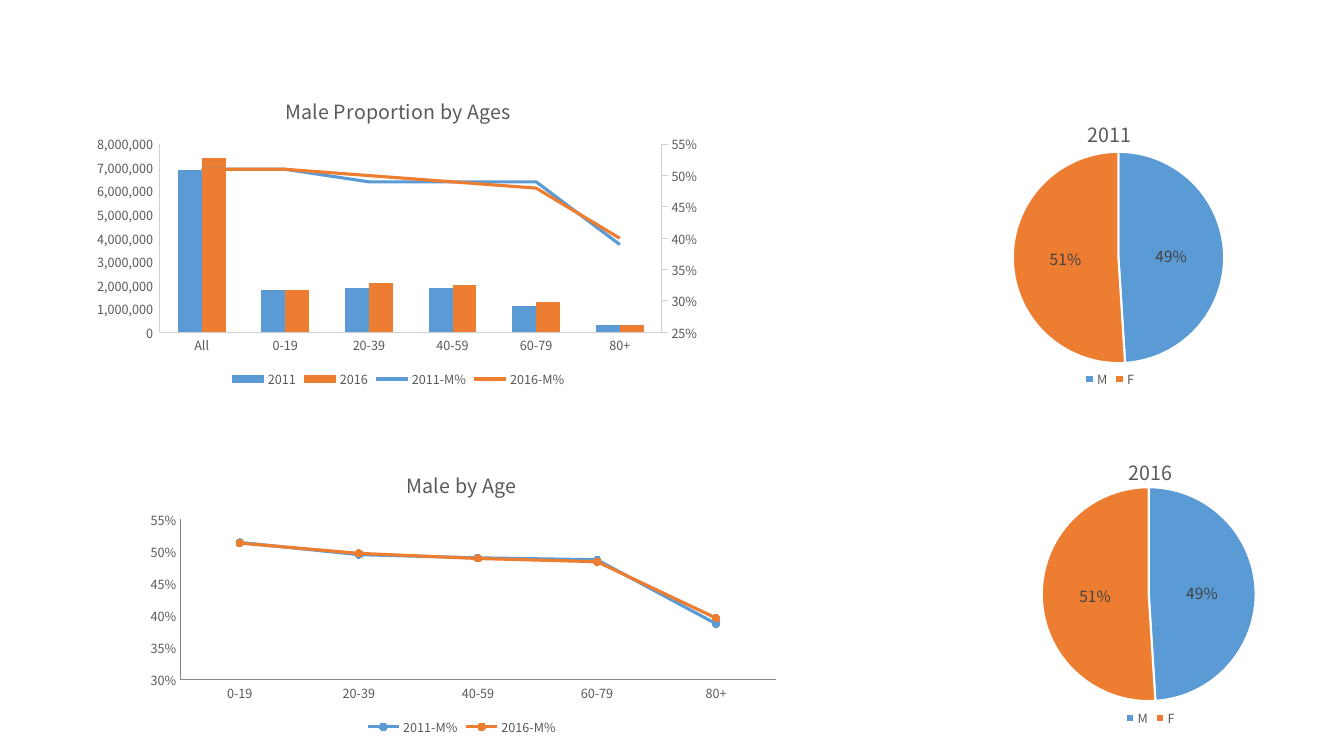
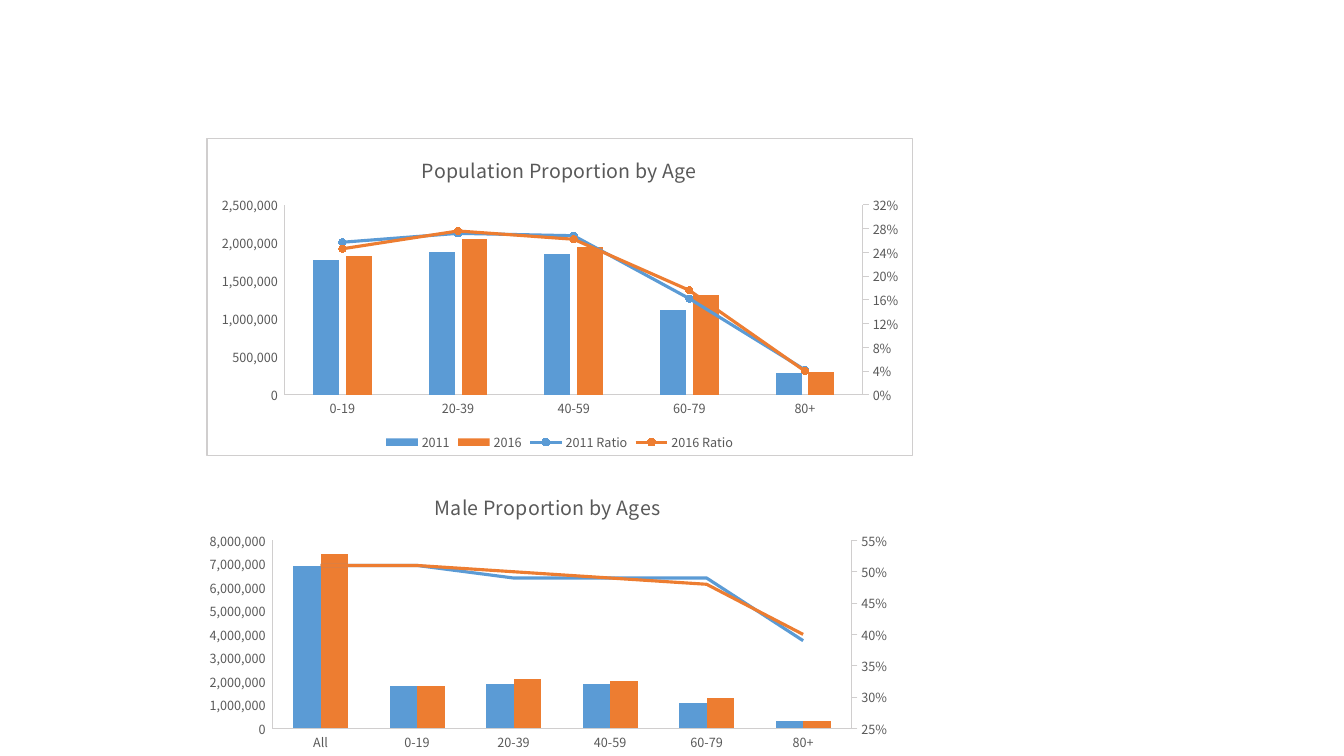
from copy import deepcopy

from lxml.etree import SubElement
from pptx import Presentation
from pptx.chart.axis import ValueAxis
from pptx.chart.data import CategoryChartData
from pptx.dml.color import RGBColor
from pptx.enum.chart import (XL_CHART_TYPE, XL_LABEL_POSITION, XL_LEGEND_POSITION,
                             XL_MARKER_STYLE, XL_TICK_MARK)
from pptx.oxml import parse_xml
from pptx.oxml.ns import nsdecls, qn
from pptx.util import Pt

FONT = "Noto Sans CJK SC"
BLUE, ORANGE, WHITE, BLACK = "5B9BD5", "ED7D31", "FFFFFF", "000000"
SERIES_COLORS = (BLUE, ORANGE)
TEXT_GREY, LABEL_GREY, LINE_GREY, AXIS_GREY = "595959", "404040", "D0CECE", "868686"
COUNT_FORMAT = r"#,##0_);[Red]\(#,##0\)"
PERCENT_FORMAT = "0%"
AGES = ("0-19", "20-39", "40-59", "60-79", "80+")

MALE_PROPORTION = {
    "title": "Male Proportion by Ages",
    "categories": ("All",) + AGES,
    "columns": {
        "2011": (6900000, 1800000, 1900000, 1900000, 1100000, 300000),
        "2016": (7400000, 1800000, 2100000, 2000000, 1300000, 300000),
    },
    "lines": {
        "2011-M%": (0.51, 0.51, 0.49, 0.49, 0.49, 0.39),
        "2016-M%": (0.51, 0.51, 0.5, 0.49, 0.48, 0.4),
    },
    "left_scale": (0, 8000000, 1000000),
    "right_scale": (0.25, 0.55, 0.05),
    "plot_format": {"gap_width": 150, "overlap": 0},
    "marked": False,
}
POPULATION_PROPORTION = {
    "title": "Population Proportion by Age",
    "categories": AGES,
    "columns": {
        "2011": (1780000, 1880000, 1850000, 1120000, 290000),
        "2016": (1830000, 2050000, 1950000, 1310000, 300000),
    },
    "lines": {
        "2011 Ratio": (0.257, 0.272, 0.268, 0.162, 0.042),
        "2016 Ratio": (0.246, 0.276, 0.262, 0.176, 0.04),
    },
    "left_scale": (0, 2500000, 500000),
    "right_scale": (0, 0.32, 0.04),
    "plot_format": {"gap_width": 219, "overlap": -27},
    "marked": True,
}
MALE_BY_AGE = {
    "2011-M%": (0.514, 0.495, 0.49, 0.487, 0.387),
    "2016-M%": (0.513, 0.497, 0.489, 0.484, 0.396),
}


def assign(target, values):
    """Set every attribute named in a dict of format values."""
    for name, value in values.items():
        setattr(target, name, value)


def paint(fill, color):
    """Give a fill one solid colour from a hex string."""
    fill.solid()
    fill.fore_color.rgb = RGBColor.from_string(color)


def style_font(font, size, color):
    """Apply the shared typeface with a size and colour."""
    assign(font, {"name": FONT, "size": Pt(size), "bold": False})
    paint(font.fill, color)


def style_line(line, color, width):
    """Give a line its colour and width."""
    paint(line.fill, color)
    line.width = Pt(width)


def place_plot(chart, layout):
    """Fix the inner plot area at fractions of the chart box."""
    plot_area = chart.element.find(".//" + qn("c:plotArea"))
    for previous in plot_area.findall(qn("c:layout")):
        plot_area.remove(previous)
    element = parse_xml(f"<c:layout {nsdecls('c')}><c:manualLayout/></c:layout>")
    entries = [("layoutTarget", "inner"), ("xMode", "edge"), ("yMode", "edge")]
    entries += zip("xywh", layout)
    for tag, value in entries:
        SubElement(element[0], qn(f"c:{tag}")).set("val", str(value))
    plot_area.insert(0, element)


def frame_chart(chart, border):
    """Clear the chart background and outline it when a border colour is given."""
    outline = "<a:noFill/>"
    if border:
        outline = f'<a:solidFill><a:srgbClr val="{border}"/></a:solidFill>'
    chart.element.find(qn("c:chart")).addnext(parse_xml(
        f"<c:spPr {nsdecls('c', 'a')}><a:noFill/>"
        f'<a:ln w="{int(Pt(0.75))}">{outline}</a:ln></c:spPr>'))


def add_chart(slide, kind, box, layout, title, categories, series, border=None):
    """Add a chart with the shared title, legend, fonts and frame."""
    data = CategoryChartData()
    data.categories = categories
    for name, values in series.items():
        number_format = COUNT_FORMAT if max(values) > 100 else PERCENT_FORMAT
        data.add_series(name, values, number_format)
    chart = slide.shapes.add_chart(kind, *map(Pt, box), data).chart
    style_font(chart.font, 10, BLACK)
    assign(chart, {"has_title": True, "has_legend": True})
    chart.chart_title.include_in_layout = False
    chart.chart_title.text_frame.text = title
    style_font(chart.chart_title.text_frame.paragraphs[0].runs[0].font, 14, TEXT_GREY)
    assign(chart.legend, {"position": XL_LEGEND_POSITION.BOTTOM,
                          "include_in_layout": False})
    style_font(chart.legend.font, 9, TEXT_GREY)
    place_plot(chart, layout)
    frame_chart(chart, border)
    return chart


def style_axis(axis, color, tick=XL_TICK_MARK.NONE):
    """Format an axis line, its ticks and its labels."""
    assign(axis, {"has_major_gridlines": False, "major_tick_mark": tick,
                  "minor_tick_mark": XL_TICK_MARK.NONE})
    style_line(axis.format.line, color, 0.75)
    style_font(axis.tick_labels.font, 9, TEXT_GREY)


def scale_axis(axis, scale, number_format):
    """Set the limits, step and number format of a value axis."""
    names = ("minimum_scale", "maximum_scale", "major_unit")
    assign(axis, dict(zip(names, scale)))
    assign(axis.tick_labels, {"number_format": number_format,
                              "number_format_is_linked": False})


def style_line_series(plot, marked):
    """Colour the lines of a plot and their markers."""
    for series, color in zip(plot.series, SERIES_COLORS):
        series.smooth = False
        style_line(series.format.line, color, 2.25)
        if marked:
            assign(series.marker, {"style": XL_MARKER_STYLE.CIRCLE, "size": 5})
            paint(series.marker.format.fill, color)
            style_line(series.marker.format.line, color, 0.75)
        else:
            series.marker.style = XL_MARKER_STYLE.NONE


def move_to_right_axis(chart, first):
    """Turn the series from an index on into lines and return their value axis."""
    columns = chart.element.find(".//" + qn("c:barChart"))
    lines = parse_xml(
        f'<c:lineChart {nsdecls("c")}><c:grouping val="standard"/>'
        '<c:varyColors val="0"/><c:marker val="1"/>'
        '<c:axId val="5001"/><c:axId val="5002"/></c:lineChart>')
    marker = lines.find(qn("c:marker"))
    for series in columns.findall(qn("c:ser"))[first:]:
        for inversion in series.findall(qn("c:invertIfNegative")):
            series.remove(inversion)
        marker.addprevious(series)
    columns.addnext(lines)
    left_axis = chart.element.find(".//" + qn("c:valAx"))
    category_axis = deepcopy(chart.element.find(".//" + qn("c:catAx")))
    value_axis = deepcopy(left_axis)
    changes = (
        (category_axis, {"axId": "5001", "crossAx": "5002", "delete": "1"}),
        (value_axis, {"axId": "5002", "crossAx": "5001", "axPos": "r",
                      "crosses": "max"}),
    )
    for axis, values in changes:
        for tag, value in values.items():
            axis.find(qn(f"c:{tag}")).set("val", value)
    left_axis.addnext(value_axis)
    value_axis.addnext(category_axis)
    return ValueAxis(value_axis)


def add_combined_chart(slide, box, layout, content, border=None):
    """Add columns on the left axis and percentage lines on the right axis."""
    chart = add_chart(slide, XL_CHART_TYPE.COLUMN_CLUSTERED, box, layout,
                      content["title"], content["categories"],
                      content["columns"] | content["lines"], border)
    style_axis(chart.category_axis, LINE_GREY)
    style_axis(chart.value_axis, LINE_GREY)
    scale_axis(chart.value_axis, content["left_scale"], COUNT_FORMAT)
    right_axis = move_to_right_axis(chart, len(content["columns"]))
    style_axis(right_axis, LINE_GREY, XL_TICK_MARK.OUTSIDE)
    scale_axis(right_axis, content["right_scale"], PERCENT_FORMAT)
    columns, lines = chart.plots
    assign(columns, content["plot_format"] | {"vary_by_categories": False})
    for series, color in zip(columns.series, SERIES_COLORS):
        paint(series.format.fill, color)
    style_line_series(lines, content["marked"])


def add_line_chart(slide, box, layout):
    """Add the marked line chart of the male share."""
    chart = add_chart(slide, XL_CHART_TYPE.LINE_MARKERS, box, layout,
                      "Male by Age", AGES, MALE_BY_AGE)
    chart.plots[0].vary_by_categories = False
    for axis in (chart.category_axis, chart.value_axis):
        style_axis(axis, AXIS_GREY)
    scale_axis(chart.value_axis, (0.3, 0.55, 0.05), PERCENT_FORMAT)
    style_line_series(chart.plots[0], True)


def add_pie_chart(slide, box, layout, year):
    """Add the male and female split of one year."""
    chart = add_chart(slide, XL_CHART_TYPE.PIE, box, layout, year,
                      ("M", "F"), {year: (49, 51)})
    plot = chart.plots[0]
    assign(plot, {"vary_by_categories": True, "has_data_labels": True})
    assign(plot.data_labels, {"show_percentage": True, "show_value": False,
                              "number_format": PERCENT_FORMAT,
                              "number_format_is_linked": False,
                              "position": XL_LABEL_POSITION.CENTER})
    style_font(plot.data_labels.font, 11, LABEL_GREY)
    for index, color in enumerate(SERIES_COLORS):
        point = plot.series[0].points[index]
        paint(point.format.fill, color)
        style_line(point.format.line, WHITE, 1.5)


def build_gender_slide(slide):
    """Place the gender charts on their slide."""
    add_pie_chart(slide, (669, 73.5, 247.5, 206.5), (0.22, 0.12, 0.61, 0.83), "2011")
    add_pie_chart(slide, (700.5, 314.5, 242.5, 207.5), (0.18, 0.16, 0.63, 0.74), "2016")
    add_line_chart(slide, (96, 324, 467.5, 204.5), (0.07, 0.23, 0.91, 0.56))
    add_combined_chart(slide, (60.5, 56, 448, 224), (0.12, 0.21, 0.8, 0.6),
                       MALE_PROPORTION)


def build_population_slide(slide):
    """Place the population charts on their slide."""
    layout = (0.11, 0.21, 0.82, 0.6)
    add_combined_chart(slide, (147.5, 98.5, 504.5, 227), layout,
                       POPULATION_PROPORTION, LINE_GREY)
    add_combined_chart(slide, (139, 339, 504.5, 224), layout, MALE_PROPORTION)


def main():
    """Build and save the presentation."""
    presentation = Presentation()
    assign(presentation, {"slide_width": Pt(960), "slide_height": Pt(540)})
    for build in (build_gender_slide, build_population_slide):
        build(presentation.slides.add_slide(presentation.slide_layouts[6]))
    presentation.save("out.pptx")


if __name__ == "__main__":
    main()
